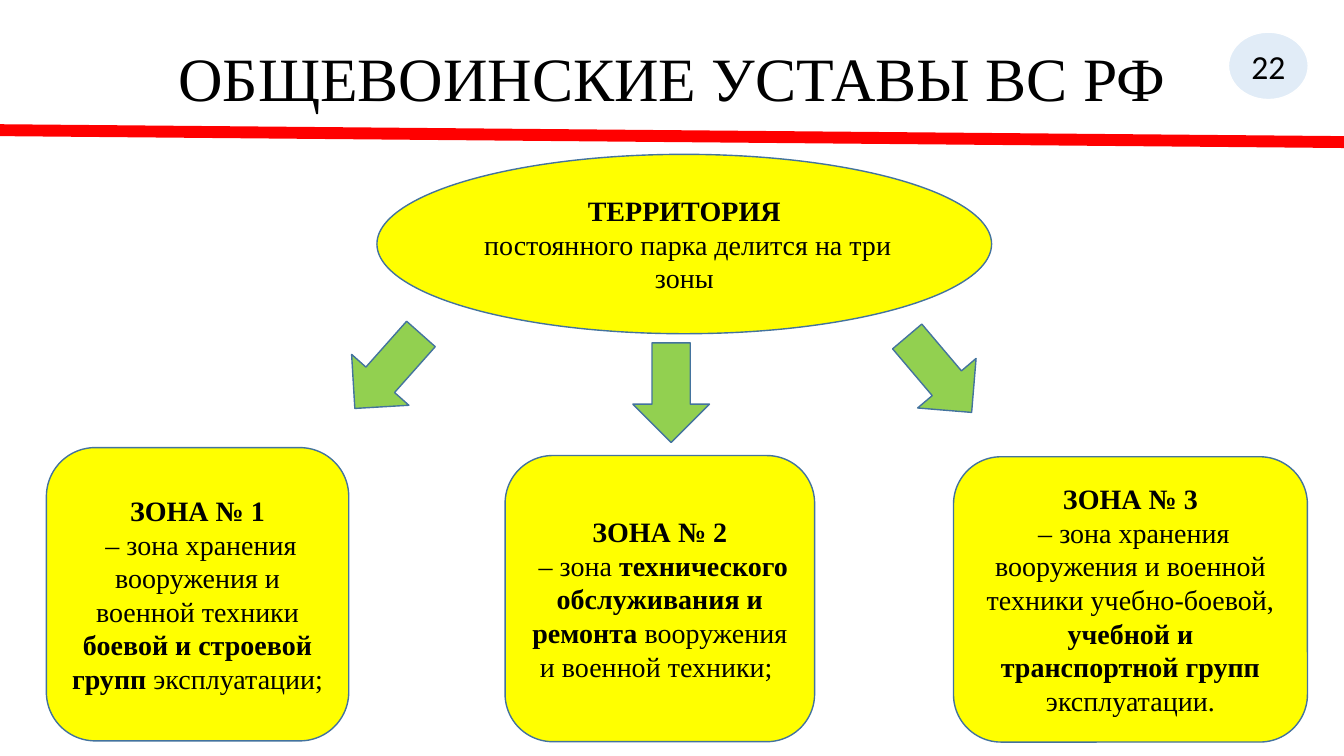
import pptx
import pptx.dml.color
import pptx.enum.shapes
import pptx.enum.text
import pptx.oxml
import pptx.oxml.ns
import pptx.util
from dataclasses import dataclass

Cm = pptx.util.Cm
Pt = pptx.util.Pt
RGBColor = pptx.dml.color.RGBColor
SHAPE = pptx.enum.shapes.MSO_SHAPE
CENTER = pptx.enum.text.PP_ALIGN.CENTER
MIDDLE = pptx.enum.text.MSO_ANCHOR.MIDDLE

BLACK = RGBColor(0x00, 0x00, 0x00)
WHITE = RGBColor(0xFF, 0xFF, 0xFF)
RED = RGBColor(0xFF, 0x00, 0x00)
YELLOW = RGBColor(0xFF, 0xFF, 0x00)
GREEN = RGBColor(0x92, 0xD0, 0x50)
BLUE = RGBColor(0x5B, 0x9B, 0xD5)
OUTLINE = RGBColor(0x43, 0x73, 0x9E)

TITLE_FONT = {"name": "Times New Roman", "size": Pt(44), "bold": False}
BADGE_FONT = {"name": "Calibri", "size": Pt(24), "bold": False}
BODY_FONT = {"name": "Times New Roman", "size": Pt(20)}


@dataclass
class Box:
    """Position and size in centimetres."""
    left: float
    top: float
    width: float
    height: float

    def lengths(self):
        return [Cm(n) for n in (self.left, self.top, self.width, self.height)]


ZONES = [
    (Box(1.17, 11.28, 7.62, 7.39), "ЗОНА № 1", [
        (" – зона хранения вооружения и военной техники ", False),
        ("боевой и строевой групп ", True),
        ("эксплуатации; ", False)]),
    (Box(12.73, 11.48, 7.8, 7.21), "ЗОНА № 2", [
        (" – зона ", False),
        ("технического обслуживания и ремонта ", True),
        ("вооружения и военной техники; ", False)]),
    (Box(24.03, 11.51, 8.92, 7.19), "ЗОНА № 3", [
        (" – зона хранения вооружения и военной техники учебно-боевой, ", False),
        ("учебной и транспортной групп", True),
        (" эксплуатации.", False)]),
]

ARROWS = [
    (Box(8.81, 8.1, 1.93, 2.51), 41.6),
    (Box(15.95, 8.64, 1.93, 2.51), 0),
    (Box(22.71, 8.18, 1.93, 2.51), 319.7),
]


def add_span(para, text, formats):
    span = para.add_run()
    span.text = text
    span.font.color.rgb = BLACK
    for name, value in formats.items():
        setattr(span.font, name, value)


def add_figure(page, kind, box, fill, line):
    figure = page.shapes.add_shape(kind, *box.lengths())
    figure.shadow.inherit = False
    figure.fill.solid()
    figure.fill.fore_color.rgb = fill
    figure.line.color.rgb = line
    figure.line.width = Pt(1)
    return figure


def add_card(page, kind, box, heading, body):
    """Yellow figure with a bold heading above a paragraph of spans."""
    card = add_figure(page, kind, box, YELLOW, OUTLINE)
    frame = card.text_frame
    frame.word_wrap = True
    frame.vertical_anchor = MIDDLE
    for para, spans in ((frame.paragraphs[0], [(heading, True)]),
                        (frame.add_paragraph(), body)):
        para.alignment = CENTER
        for text, bold in spans:
            add_span(para, text, BODY_FONT | {"bold": bold})


def add_header(page, box):
    # Title, raised by a deep bottom margin
    title = page.shapes.title
    title_box = Box(box.left + 2.34, box.top + 1.02, box.width - 4.66, 3.68)
    for name, value in zip(("left", "top", "width", "height"), title_box.lengths()):
        setattr(title, name, value)
    frame = title.text_frame
    formats = {"word_wrap": True, "vertical_anchor": MIDDLE, "margin_bottom": Cm(1.75),
               "auto_size": pptx.enum.text.MSO_AUTO_SIZE.NONE}
    for name, value in formats.items():
        setattr(frame, name, value)
    para = frame.paragraphs[0]
    para.alignment = CENTER
    para.line_spacing = 0.9
    add_span(para, "ОБЩЕВОИНСКИЕ УСТАВЫ ВС РФ", TITLE_FONT)

    # Red rule across the page
    rule = page.shapes.add_connector(
        pptx.enum.shapes.MSO_CONNECTOR.STRAIGHT,
        Cm(box.left), Cm(box.top + 3.28),
        Cm(box.left + box.width), Cm(box.top + box.height))
    rule.line.color.rgb = RED
    rule.line.width = Pt(8.5)
    pptx.oxml.ns.qn("a:effectLst")
    rule.element.spPr.append(pptx.oxml.parse_xml(
        "<a:effectLst %s/>" % pptx.oxml.ns.nsdecls("a")))

    # Page number badge
    badge_box = Box(box.left + box.width - 2.91, box.top + 0.81, 2.01, 1.7)
    badge = add_figure(page, SHAPE.OVAL, badge_box, BLUE, WHITE)
    color = badge.fill._xPr.find(".//" + pptx.oxml.ns.qn("a:srgbClr"))
    color.append(pptx.oxml.parse_xml(
        '<a:alpha %s val="18000"/>' % pptx.oxml.ns.nsdecls("a")))
    badge.text_frame.vertical_anchor = MIDDLE
    number = badge.text_frame.paragraphs[0]
    number.alignment = CENTER
    add_span(number, "22", BADGE_FONT)


def add_territory(page, box):
    add_card(page, SHAPE.OVAL, box, "ТЕРРИТОРИЯ",
             [(" постоянного парка делится на три зоны", False)])


def add_zone(page, box, heading, body):
    add_card(page, SHAPE.ROUNDED_RECTANGLE, box, heading, body)


def add_arrow(page, box, angle):
    arrow = add_figure(page, SHAPE.DOWN_ARROW, box, GREEN, OUTLINE)
    arrow.rotation = angle


def main():
    deck = pptx.Presentation()
    deck.slide_width = Cm(33.87)
    deck.slide_height = Cm(19.05)
    page = deck.slides.add_slide(deck.slide_layouts[5])

    add_header(page, Box(0, 0, 33.87, 3.58))
    add_territory(page, Box(9.5, 3.89, 15.49, 4.52))
    for box, heading, body in ZONES:
        add_zone(page, box, heading, body)
    for box, angle in ARROWS:
        add_arrow(page, box, angle)

    deck.save("out.pptx")


if __name__ == "__main__":
    main()
